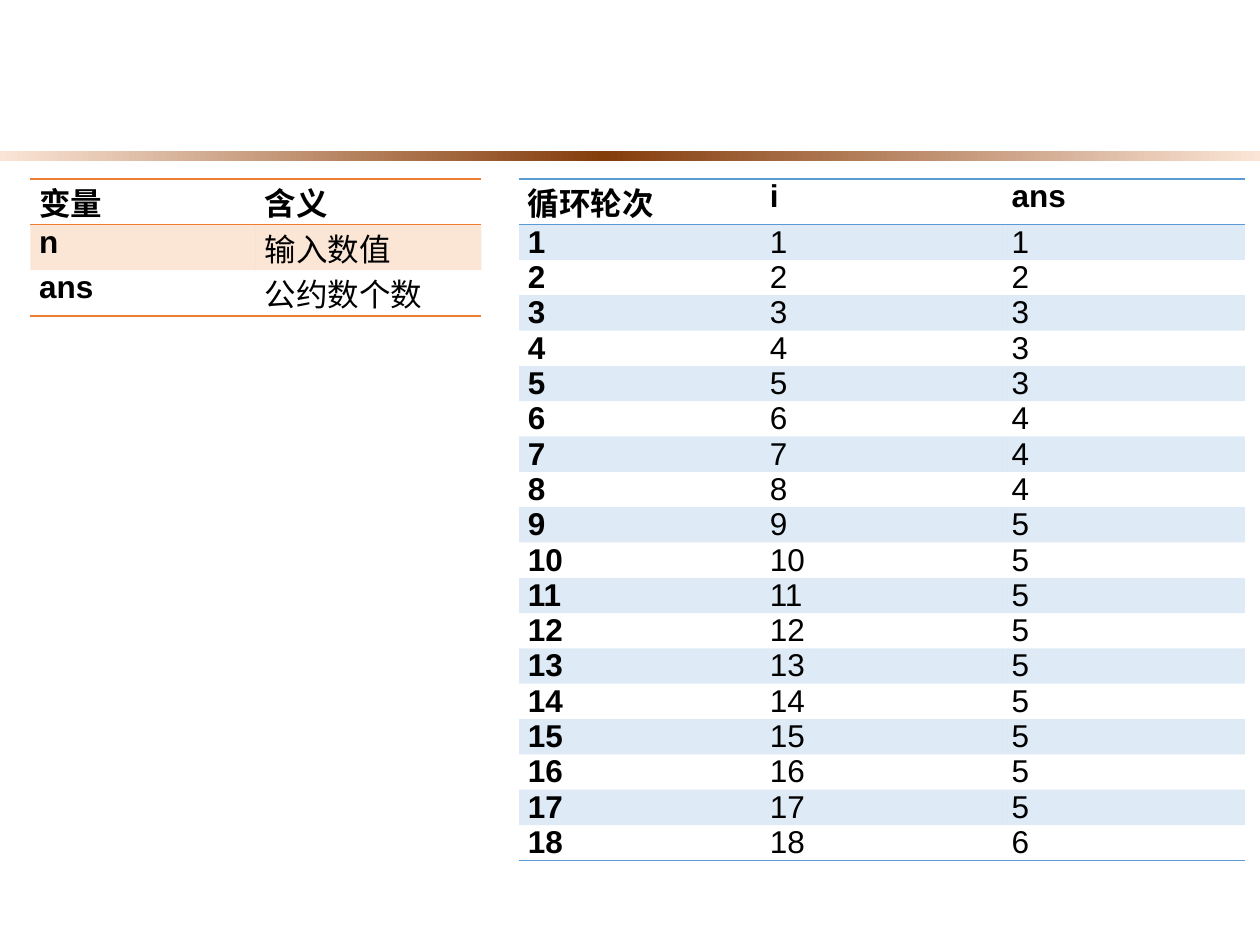
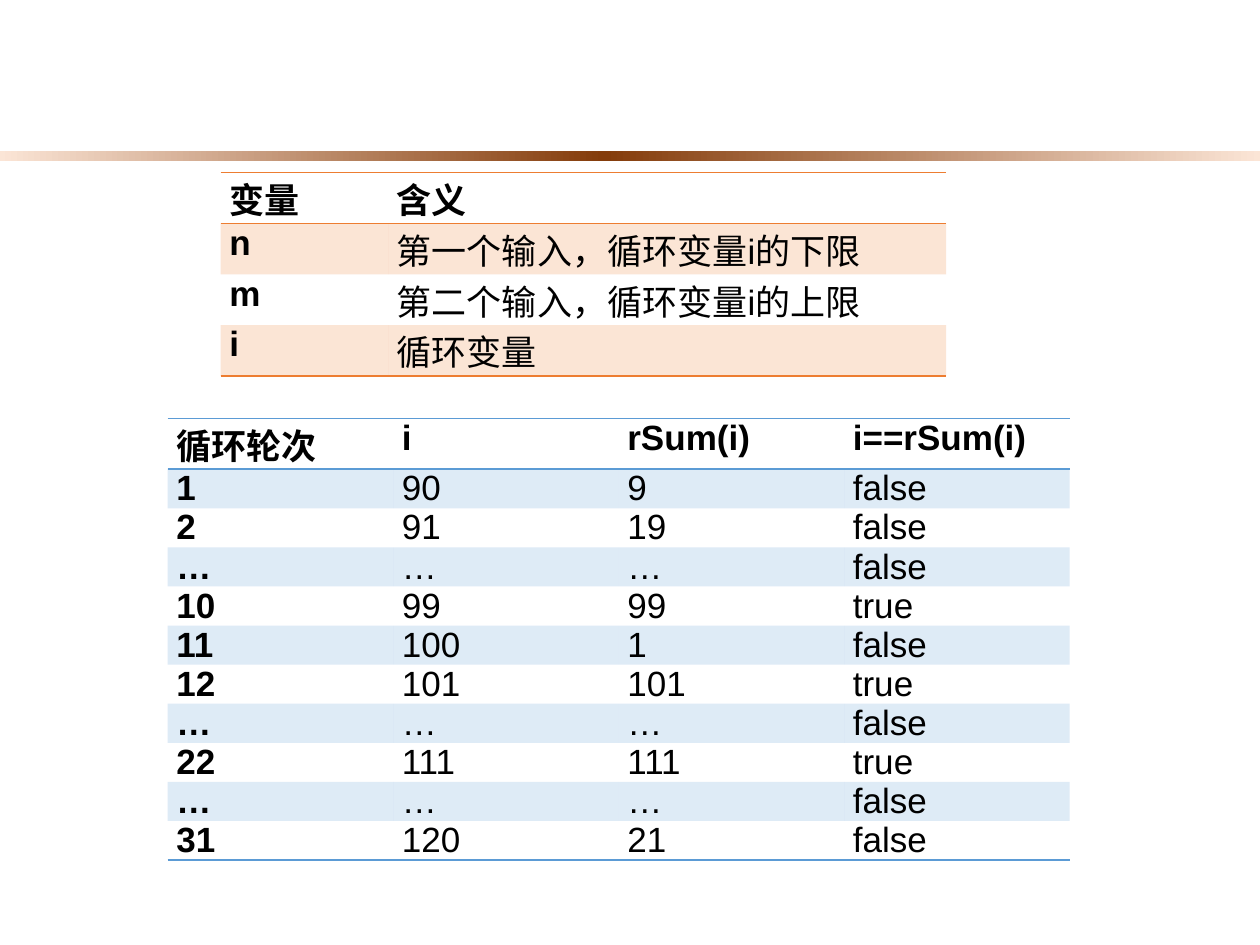
import dataclasses

import lxml.etree
import pptx
import pptx.dml.color
import pptx.enum.lang
import pptx.enum.shapes
import pptx.enum.text
import pptx.oxml.ns
import pptx.slide
import pptx.table
import pptx.util

SLIDE_WIDTH = pptx.util.Inches(10)
SLIDE_HEIGHT = pptx.util.Inches(7.5)
COLUMN = SLIDE_WIDTH / 100
ROW = SLIDE_HEIGHT / 75
FONT = "Arial"
COLOURS = {
    "text": "000000",
    "variables": "ED7D31",
    "rounds": "5B9BD5",
    "band_edge": "FBE5D6",
    "band_centre": "843C0B",
}
BAND_STOPS = ((0, "band_edge"), (48, "band_centre"), (100, "band_edge"))
BAND_OPACITY = 20
PLAIN_TABLE_STYLE = "{2D5ABB26-0587-4C30-8999-92F81FD0307C}"


@dataclasses.dataclass(frozen=True)
class TraceTable:
    left: float
    top: float
    columns: tuple[float, ...]
    row_pitch: float
    accent: str
    size: int
    rows: tuple[tuple[str, ...], ...]


def across(columns: float) -> int:
    return round(columns * COLUMN)


def down(rows: float) -> int:
    return round(rows * ROW)


def add_element(parent, tag: str, **attributes: str):
    return lxml.etree.SubElement(parent, pptx.oxml.ns.qn(tag), attributes)


def draw_divider(slide: pptx.slide.Slide) -> None:
    divider = slide.shapes.add_shape(
        pptx.enum.shapes.MSO_SHAPE.RECTANGLE,
        across(-0.1), down(12), across(100.1), down(0.8),
    )
    divider.shadow.inherit = False
    divider.line.fill.background()
    divider.fill.gradient()
    divider.fill.gradient_angle = 0
    stops = divider._element.spPr.find(".//" + pptx.oxml.ns.qn("a:gsLst"))
    for stop in list(stops):
        stops.remove(stop)
    for position, colour in BAND_STOPS:
        stop = add_element(stops, "a:gs", pos=str(position * 1000))
        add_element(stop, "a:srgbClr", val=COLOURS[colour])


def fill_cell(cell: pptx.table._Cell, accent: str, banded: bool) -> None:
    if not banded:
        cell.fill.background()
        return
    cell.fill.solid()
    cell.fill.fore_color.rgb = pptx.dml.color.RGBColor.from_string(accent)
    colour = cell._tc.tcPr.find(".//" + pptx.oxml.ns.qn("a:srgbClr"))
    add_element(colour, "a:alpha", val=str(BAND_OPACITY * 1000))


def rule_cell(cell: pptx.table._Cell, accent: str, sides: str) -> None:
    properties = cell._tc.get_or_add_tcPr()
    for index, side in enumerate(sides):
        rule = add_element(properties, f"a:ln{side}", w=str(pptx.util.Pt(1)))
        add_element(add_element(rule, "a:solidFill"), "a:srgbClr", val=accent)
        properties.insert(index, rule)


def write_cell(cell: pptx.table._Cell, text: str, size: int, bold: bool) -> None:
    cell.margin_left = cell.margin_right = pptx.util.Inches(0.07)
    cell.margin_top = cell.margin_bottom = 0
    paragraph = cell.text_frame.paragraphs[0]
    paragraph.alignment = pptx.enum.text.PP_ALIGN.JUSTIFY
    run = paragraph.add_run()
    run.text = text
    run.font.name = FONT
    run.font.size = pptx.util.Pt(size)
    run.font.bold = bold
    run.font.language_id = pptx.enum.lang.MSO_LANGUAGE_ID.SIMPLIFIED_CHINESE
    run.font.color.rgb = pptx.dml.color.RGBColor.from_string(COLOURS["text"])


def draw_table(slide: pptx.slide.Slide, trace: TraceTable) -> None:
    height = down(trace.row_pitch * len(trace.rows))
    frame = slide.shapes.add_table(
        len(trace.rows), len(trace.columns),
        across(trace.left), down(trace.top), across(sum(trace.columns)), height,
    )
    table = frame.table
    table.first_row = table.horz_banding = False
    table._tbl.tblPr.find(pptx.oxml.ns.qn("a:tableStyleId")).text = PLAIN_TABLE_STYLE
    for column, width in zip(table.columns, trace.columns):
        column.width = across(width)
    accent = COLOURS[trace.accent]
    last = len(trace.rows) - 1
    for row_index, texts in enumerate(trace.rows):
        table.rows[row_index].height = 0
        sides = {0: "TB", last: "B"}.get(row_index, "")
        for column_index, text in enumerate(texts):
            cell = table.cell(row_index, column_index)
            write_cell(cell, text, trace.size, row_index == 0 or column_index == 0)
            fill_cell(cell, accent, row_index % 2 == 1)
            rule_cell(cell, accent, sides)
    frame.height = height


def divisor_rounds(number: int) -> tuple[tuple[str, ...], ...]:
    rounds = []
    divisors = 0
    for i in range(1, number + 1):
        divisors += number % i == 0
        rounds.append((str(i), str(i), str(divisors)))
    return tuple(rounds)


def palindrome_round(i: int, first: int = 90) -> tuple[str, ...]:
    reverse = int(str(i)[::-1])
    return str(i - first + 1), str(i), str(reverse), str(i == reverse).lower()


SKIPPED = ("…", "…", "…", "false")
VARIABLE_HEADER = ("变量", "含义")

SLIDES = (
    (
        TraceTable(2.4, 14.2, (17.9,) * 2, 3, "variables", 18, (
            VARIABLE_HEADER,
            ("n", "输入数值"),
            ("ans", "公约数个数"),
        )),
        TraceTable(41.2, 14.2, (19.2,) * 3, 3, "rounds", 18, (
            ("循环轮次", "i", "ans"),
            *divisor_rounds(18),
        )),
    ),
    (
        TraceTable(17.5, 13.7, (13.3, 44.3), 3.33, "variables", 20, (
            VARIABLE_HEADER,
            ("n", "第一个输入，循环变量i的下限"),
            ("m", "第二个输入，循环变量i的上限"),
            ("i", "循环变量"),
        )),
        TraceTable(13.3, 33.2, (17.9,) * 4, 3.33, "rounds", 20, (
            ("循环轮次", "i", "rSum(i)", "i==rSum(i)"),
            *map(palindrome_round, (90, 91)),
            SKIPPED,
            *map(palindrome_round, (99, 100, 101)),
            SKIPPED,
            palindrome_round(111),
            SKIPPED,
            palindrome_round(120),
        )),
    ),
)


def main() -> None:
    deck = pptx.Presentation()
    deck.slide_width = SLIDE_WIDTH
    deck.slide_height = SLIDE_HEIGHT
    for traces in SLIDES:
        slide = deck.slides.add_slide(deck.slide_layouts[6])
        draw_divider(slide)
        for trace in traces:
            draw_table(slide, trace)
    deck.save("out.pptx")


if __name__ == "__main__":
    main()
